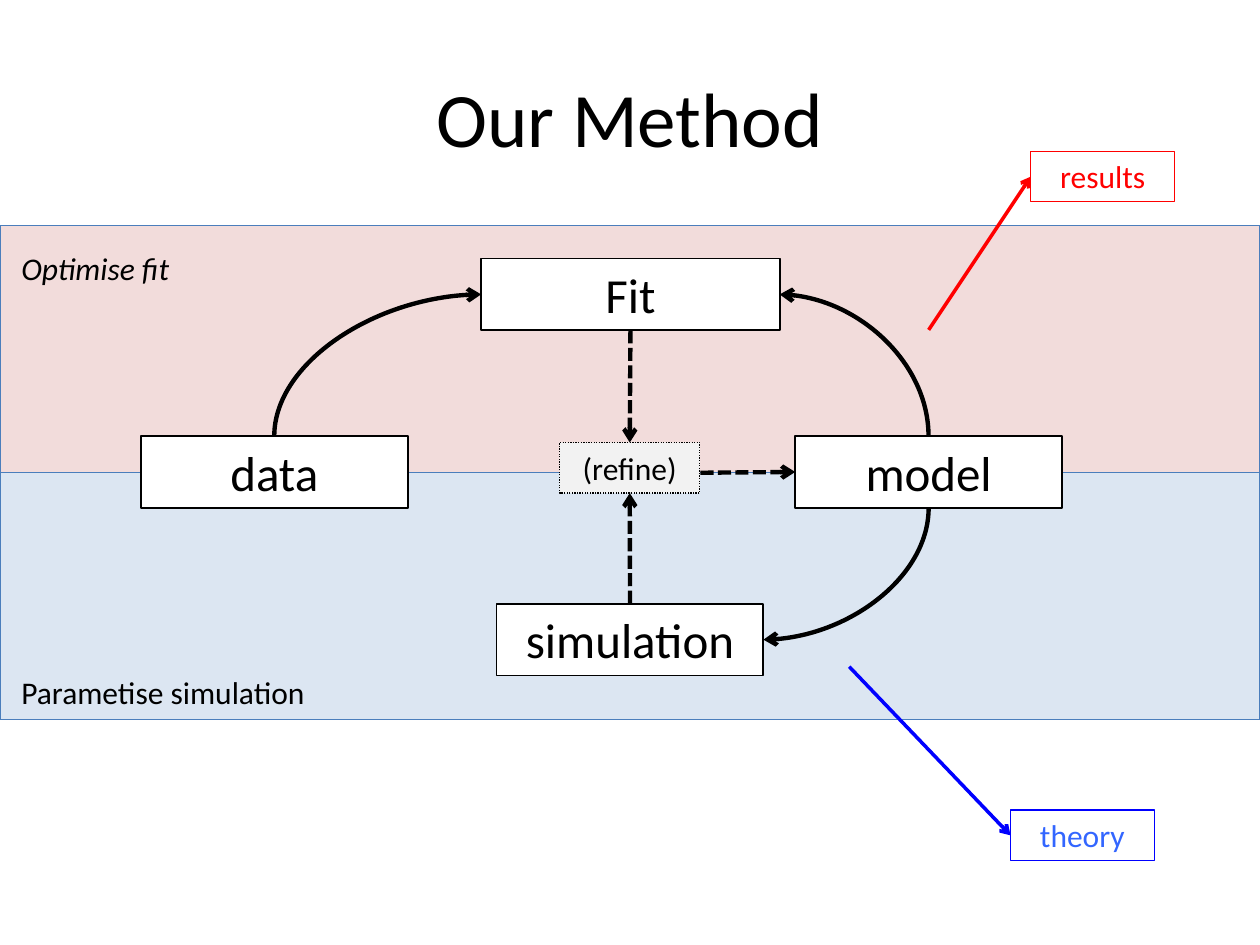
from dataclasses import dataclass

from lxml import etree
from pptx import Presentation
from pptx import util as u
from pptx.dml.color import RGBColor
from pptx.enum import dml, shapes, text
from pptx.oxml.ns import qn


@dataclass(frozen=True)
class Theme:
    font: str = "Calibri"
    title: int = 44
    large: int = 28
    small: int = 18
    ink: str = "000000"
    paper: str = "FFFFFF"
    band_line: str = "4B7EBC"
    fit_band: str = "F2DCDB"
    simulation_band: str = "DCE6F2"
    refine_fill: str = "F2F2F2"
    results: str = "FF0000"
    theory: str = "0000FF"
    theory_text: str = "3366FF"


THEME = Theme()
DOT = dml.MSO_LINE.ROUND_DOT
DASH = dml.MSO_LINE.SQUARE_DOT
TOP, LEFT, BOTTOM, RIGHT = range(4)
BOX_HEIGHT, TAG_HEIGHT, BAND_HEIGHT = 1.45, 1.02, 4.98
SLIDE_WIDTH, MIDDLE = 25.4, 9.53


@dataclass(frozen=True)
class Box:
    """A labelled rectangle; lengths in centimetres."""
    label: str
    left: float
    top: float
    width: float
    height: float = BOX_HEIGHT
    size: int = THEME.large
    fill: str | None = THEME.paper
    line: str = THEME.ink
    ink: str = THEME.ink
    weight: float = 1
    dash: dml.MSO_LINE | None = None


@dataclass(frozen=True)
class Arrow:
    """Runs from a box side, or from a free point, to a box side."""
    start: tuple[str, int] | tuple[float, float]
    end: tuple[str, int]
    color: str = THEME.ink
    weight: float = 2.5
    dash: dml.MSO_LINE | None = None
    curved: bool = False


BANDS = [
    Box("", 0, MIDDLE, SLIDE_WIDTH, BAND_HEIGHT, fill=THEME.simulation_band,
        line=THEME.band_line, weight=0.75),
    Box("", 0, MIDDLE - BAND_HEIGHT, SLIDE_WIDTH, BAND_HEIGHT, fill=THEME.fit_band,
        line=THEME.band_line, weight=0.75),
]
BOXES = [
    Box("simulation", 10.01, 12.17, 5.38),
    Box("data", 2.84, 8.79, 5.38),
    Box("model", 16.03, 8.79, 5.38),
    Box("Fit", 9.7, 5.21, 6.02),
    Box("(refine)", 11.28, 8.92, 2.83, TAG_HEIGHT, THEME.small,
        fill=THEME.refine_fill, weight=0.75, dash=DOT),
    Box("results", 20.78, 3.05, 2.9, TAG_HEIGHT, THEME.small, fill=None,
        line=THEME.results, ink=THEME.results, weight=0.75),
    Box("theory", 20.37, 16.33, 2.9, TAG_HEIGHT, THEME.small, fill=None,
        line=THEME.theory, ink=THEME.theory_text, weight=0.75),
]
ARROWS = [
    Arrow(("model", BOTTOM), ("simulation", RIGHT), curved=True),
    Arrow(("data", TOP), ("Fit", LEFT), curved=True),
    Arrow(("model", TOP), ("Fit", RIGHT), curved=True),
    Arrow(("Fit", BOTTOM), ("(refine)", TOP), dash=DASH),
    Arrow(("simulation", TOP), ("(refine)", BOTTOM), dash=DASH),
    Arrow((14.12, MIDDLE), ("model", LEFT), dash=DASH),
    Arrow((18.72, 6.65), ("results", LEFT), THEME.results, 2),
    Arrow((17.12, 13.44), ("theory", LEFT), THEME.theory, 2),
]


def write(frame, words: str, *, size: int, color: str = THEME.ink, italic: bool = False,
          align=text.PP_ALIGN.CENTER, anchor=text.MSO_ANCHOR.TOP,
          fit=text.MSO_AUTO_SIZE.SHAPE_TO_FIT_TEXT) -> None:
    frame.word_wrap = True
    frame.auto_size = fit
    frame.vertical_anchor = anchor
    para = frame.paragraphs[0]
    para.alignment = align
    span = para.add_run()
    span.text = words
    span.font.name = THEME.font
    span.font.size = u.Pt(size)
    span.font.italic = italic
    span.font.color.rgb = RGBColor.from_string(color)


def style_line(line, color: str, weight: float, dash: dml.MSO_LINE | None) -> None:
    line.color.rgb = RGBColor.from_string(color)
    line.width = u.Pt(weight)
    if dash is not None:
        line.dash_style = dash


def draw_box(page, box: Box):
    shape = page.shapes.add_shape(shapes.MSO_SHAPE.RECTANGLE, u.Cm(box.left), u.Cm(box.top),
                                  u.Cm(box.width), u.Cm(box.height))
    shape.shadow.inherit = False
    if box.fill is None:
        shape.fill.background()
    else:
        shape.fill.solid()
        shape.fill.fore_color.rgb = RGBColor.from_string(box.fill)
    style_line(shape.line, box.line, box.weight, box.dash)
    if box.label:
        write(shape.text_frame, box.label, size=box.size, color=box.ink)
    return shape


def draw_label(page, words: str, top: float, width: float, italic: bool = False) -> None:
    label = page.shapes.add_textbox(u.Cm(0.18), u.Cm(top), u.Cm(width), u.Cm(TAG_HEIGHT))
    write(label.text_frame, words, size=THEME.small, italic=italic, align=text.PP_ALIGN.LEFT)


def bend(connector) -> None:
    """Make a quarter curve that leaves vertically and arrives horizontally."""
    x1, y1 = connector.begin_x, connector.begin_y
    x2, y2 = connector.end_x, connector.end_y
    width, height = abs(y2 - y1), abs(x2 - x1)
    connector.left, connector.top = (x1 + x2 - width) // 2, (y1 + y2 - height) // 2
    connector.width, connector.height = width, height
    properties = connector._element.spPr
    frame = properties.find(qn("a:xfrm"))
    frame.set("rot", str(90 * 60000))
    frame.set("flipH", str(int(y2 < y1)))
    frame.set("flipV", str(int(x2 > x1)))
    properties.find(qn("a:prstGeom")).set("prst", "curvedConnector2")


def draw_arrow(page, arrow: Arrow, placed: dict) -> None:
    kind = shapes.MSO_CONNECTOR.CURVE if arrow.curved else shapes.MSO_CONNECTOR.STRAIGHT
    origin, side = arrow.start
    joined = origin in placed
    x, y = (0, 0) if joined else (u.Cm(origin), u.Cm(side))
    connector = page.shapes.add_connector(kind, x, y, x, y)
    if joined:
        connector.begin_connect(placed[origin], side)
    target, target_side = arrow.end
    connector.end_connect(placed[target], target_side)
    if arrow.curved:
        bend(connector)
    style_line(connector.line, arrow.color, arrow.weight, arrow.dash)
    properties = connector._element.spPr
    etree.SubElement(properties.find(qn("a:ln")), qn("a:tailEnd"), type="arrow")
    etree.SubElement(properties, qn("a:effectLst"))


def main() -> None:
    deck = Presentation()
    deck.slide_width, deck.slide_height = u.Cm(SLIDE_WIDTH), u.Cm(19.05)
    page = deck.slides.add_slide(deck.slide_layouts[5])

    # Title
    title = page.shapes.title
    title.left, title.top = u.Cm(1.27), u.Cm(0.76)
    title.width, title.height = u.Cm(22.86), u.Cm(3.18)
    write(title.text_frame, "Our Method", size=THEME.title,
          anchor=text.MSO_ANCHOR.MIDDLE, fit=text.MSO_AUTO_SIZE.NONE)

    # Background bands and their labels
    for band in BANDS:
        draw_box(page, band)
    draw_label(page, "Optimise fit", 4.9, 5.36, italic=True)
    draw_label(page, "Parametise simulation", 13.44, 8.05)

    # Method steps and the arrows between them
    placed = {box.label: draw_box(page, box) for box in BOXES}
    for arrow in ARROWS:
        draw_arrow(page, arrow, placed)

    deck.save("out.pptx")


if __name__ == "__main__":
    main()
